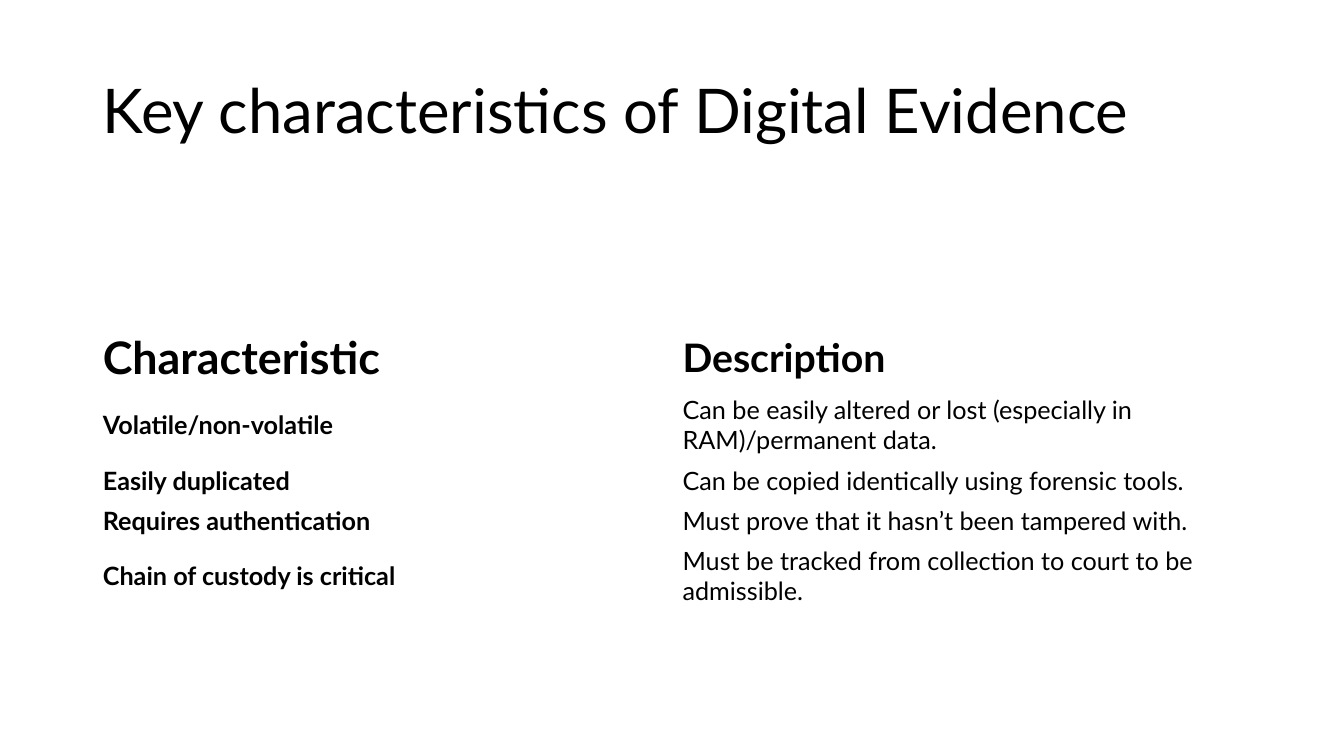
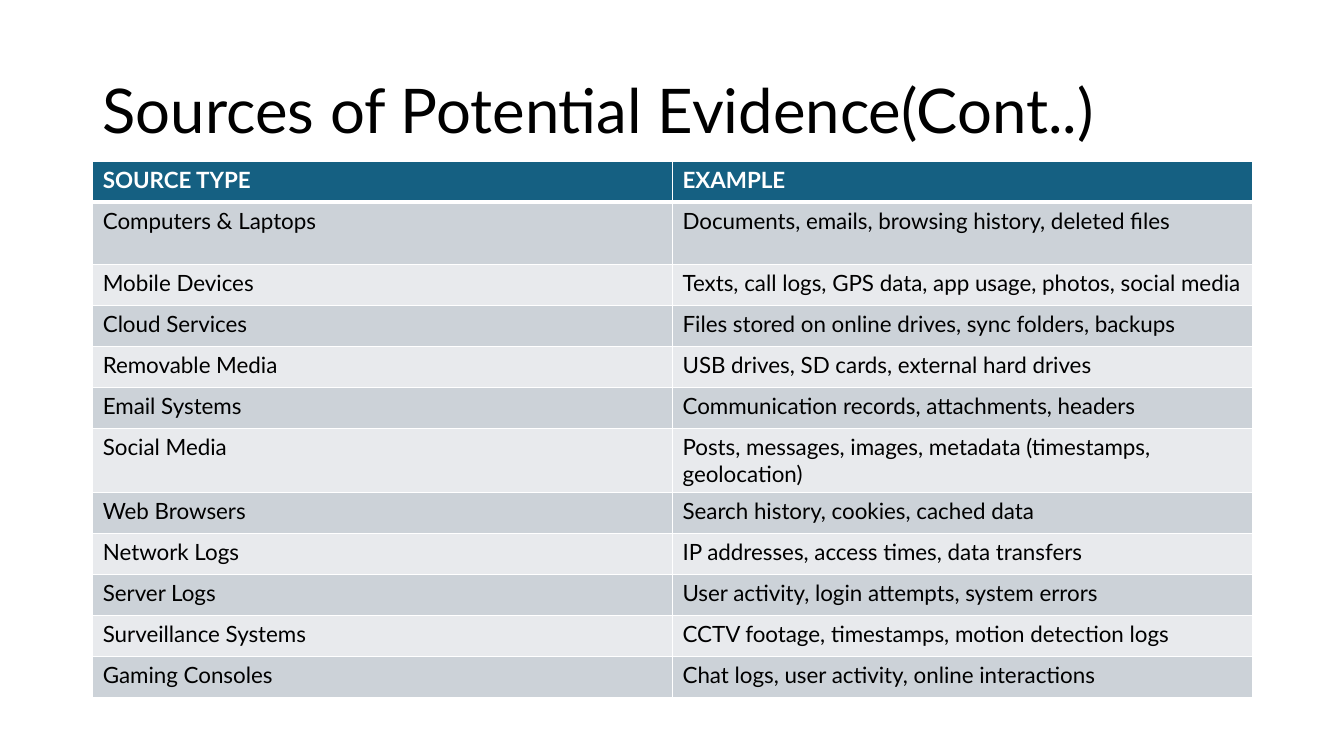
from lxml import etree
from pptx import Presentation
from pptx.dml.color import RGBColor
from pptx.enum.text import MSO_ANCHOR
from pptx.oxml.ns import qn
from pptx.util import Inches, Pt

MIDDLE, TOP = MSO_ANCHOR.MIDDLE, MSO_ANCHOR.TOP

# Shared look
FONT = "Lato"
BLACK, WHITE = "000000", "FFFFFF"
HEADER_FILL = "156082"
BAND_FILLS = ("CCD2D8", "E8EAED")
LEFT, CONTENT_WIDTH = 0.92, 11.5

# Content
CHARACTERISTICS_TITLE = "Key characteristics of Digital Evidence"
CHARACTERISTICS = [
    ("Characteristic", "Description"),
    ("Volatile/non-volatile",
     "Can be easily altered or lost (especially in RAM)/permanent data."),
    ("Easily duplicated", "Can be copied identically using forensic tools."),
    ("Requires authentication", "Must prove that it hasn’t been tampered with."),
    ("Chain of custody is critical",
     "Must be tracked from collection to court to be admissible."),
]
CHARACTERISTIC_HEIGHTS = [0.63, 0.7, 0.4, 0.4, 0.7]
CHARACTERISTIC_HEADER_SIZES = (32, 28)

SOURCES_TITLE = "Sources of Potential Evidence(Cont..)"
SOURCES = [
    ("SOURCE TYPE", "EXAMPLE"),
    ("Computers & Laptops", "Documents, emails, browsing history, deleted files"),
    ("Mobile Devices", "Texts, call logs, GPS data, app usage, photos, social media"),
    ("Cloud Services", "Files stored on online drives, sync folders, backups"),
    ("Removable Media", "USB drives, SD cards, external hard drives"),
    ("Email Systems", "Communication records, attachments, headers"),
    ("Social Media", "Posts, messages, images, metadata (timestamps, geolocation)"),
    ("Web Browsers", "Search history, cookies, cached data"),
    ("Network Logs", "IP addresses, access times, data transfers"),
    ("Server Logs", "User activity, login attempts, system errors"),
    ("Surveillance Systems", "CCTV footage, timestamps, motion detection logs"),
    ("Gaming Consoles", "Chat logs, user activity, online interactions"),
]
SOURCES_HEIGHT = 5.31
TALL_ROWS, TALL_HEIGHT = (1, 6), 0.62


def color(hex_value):
    return RGBColor.from_string(hex_value)


def write_text(frame, text, size=18, bold=False, fill=BLACK, spacing=None):
    frame.word_wrap = True
    paragraph = frame.paragraphs[0]
    paragraph.line_spacing = spacing
    run = paragraph.add_run()
    run.text = text
    run.font.name = FONT
    run.font.size = Pt(size)
    run.font.bold = bold
    run.font.color.rgb = color(fill)


def add_titled_slide(presentation, title):
    slide = presentation.slides.add_slide(presentation.slide_layouts[6])
    box = slide.shapes.add_textbox(
        Inches(LEFT), Inches(0.4), Inches(CONTENT_WIDTH), Inches(1.45))
    box.text_frame.vertical_anchor = MIDDLE
    write_text(box.text_frame, title, size=44, spacing=0.9)
    return slide


def add_plain_table(slide, rows, top, heights, anchor):
    """Add an unfilled table and return it; cell text is written later."""
    columns = len(rows[0])
    frame = slide.shapes.add_table(
        len(rows), columns, Inches(LEFT), Inches(top),
        Inches(CONTENT_WIDTH), Inches(sum(heights)))
    table = frame.table
    table.first_row = table.horz_banding = False
    for column in table.columns:
        column.width = Inches(CONTENT_WIDTH / columns)
    for row, height in zip(table.rows, heights):
        row.height = Inches(height)
    for cell in table.iter_cells():
        cell.vertical_anchor = anchor
        cell.fill.background()
    return table


def set_borders(cell, top, bottom):
    """White cell borders; they must come before the fill in the XML."""
    properties = cell._tc.get_or_add_tcPr()
    widths = (("a:lnL", 1), ("a:lnR", 1), ("a:lnT", top), ("a:lnB", bottom))
    for position, (tag, width) in enumerate(widths):
        line = etree.Element(qn(tag), w=str(Pt(width)))
        solid = etree.SubElement(line, qn("a:solidFill"))
        etree.SubElement(solid, qn("a:srgbClr"), val=WHITE)
        properties.insert(position, line)


def build_characteristics(presentation):
    slide = add_titled_slide(presentation, CHARACTERISTICS_TITLE)
    table = add_plain_table(
        slide, CHARACTERISTICS, 3.23, CHARACTERISTIC_HEIGHTS, MIDDLE)
    for r, row in enumerate(CHARACTERISTICS):
        for c, text in enumerate(row):
            size = CHARACTERISTIC_HEADER_SIZES[c] if r == 0 else 18
            write_text(table.cell(r, c).text_frame, text, size=size,
                       bold=r == 0 or c == 0)


def build_sources(presentation):
    slide = add_titled_slide(presentation, SOURCES_TITLE)
    # Tall rows are fixed, the others share the rest equally
    single_height = ((SOURCES_HEIGHT - len(TALL_ROWS) * TALL_HEIGHT)
                     / (len(SOURCES) - len(TALL_ROWS)))
    heights = [TALL_HEIGHT if r in TALL_ROWS else single_height
               for r in range(len(SOURCES))]
    table = add_plain_table(slide, SOURCES, 1.6, heights, TOP)
    for r, row in enumerate(SOURCES):
        header = r == 0
        row_fill = HEADER_FILL if header else BAND_FILLS[(r - 1) % 2]
        for c, text in enumerate(row):
            cell = table.cell(r, c)
            set_borders(cell, top=3 if r == 1 else 1, bottom=3 if header else 1)
            cell.fill.solid()
            cell.fill.fore_color.rgb = color(row_fill)
            write_text(cell.text_frame, text, size=16, bold=header,
                       fill=WHITE if header else BLACK)


def main():
    presentation = Presentation()
    presentation.slide_width = Inches(13.33)
    presentation.slide_height = Inches(7.5)
    build_characteristics(presentation)
    build_sources(presentation)
    presentation.save("out.pptx")


if __name__ == "__main__":
    main()
